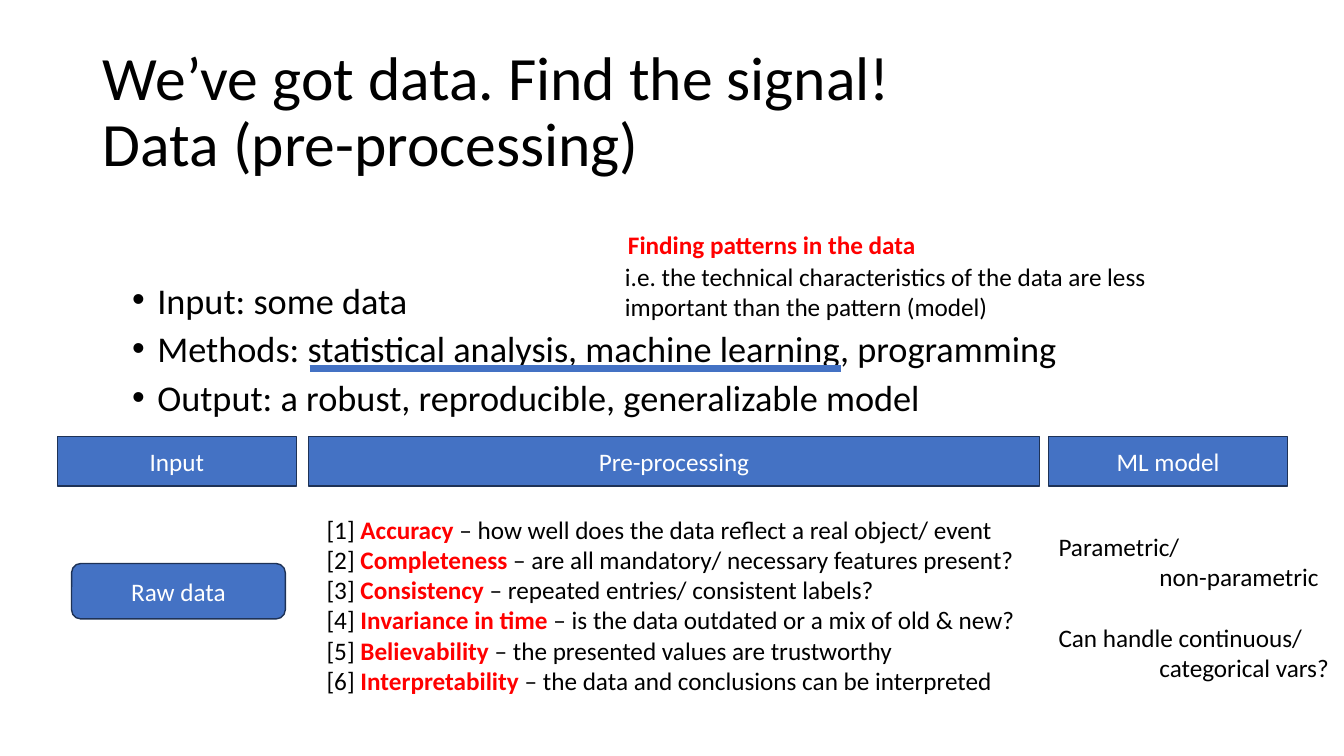
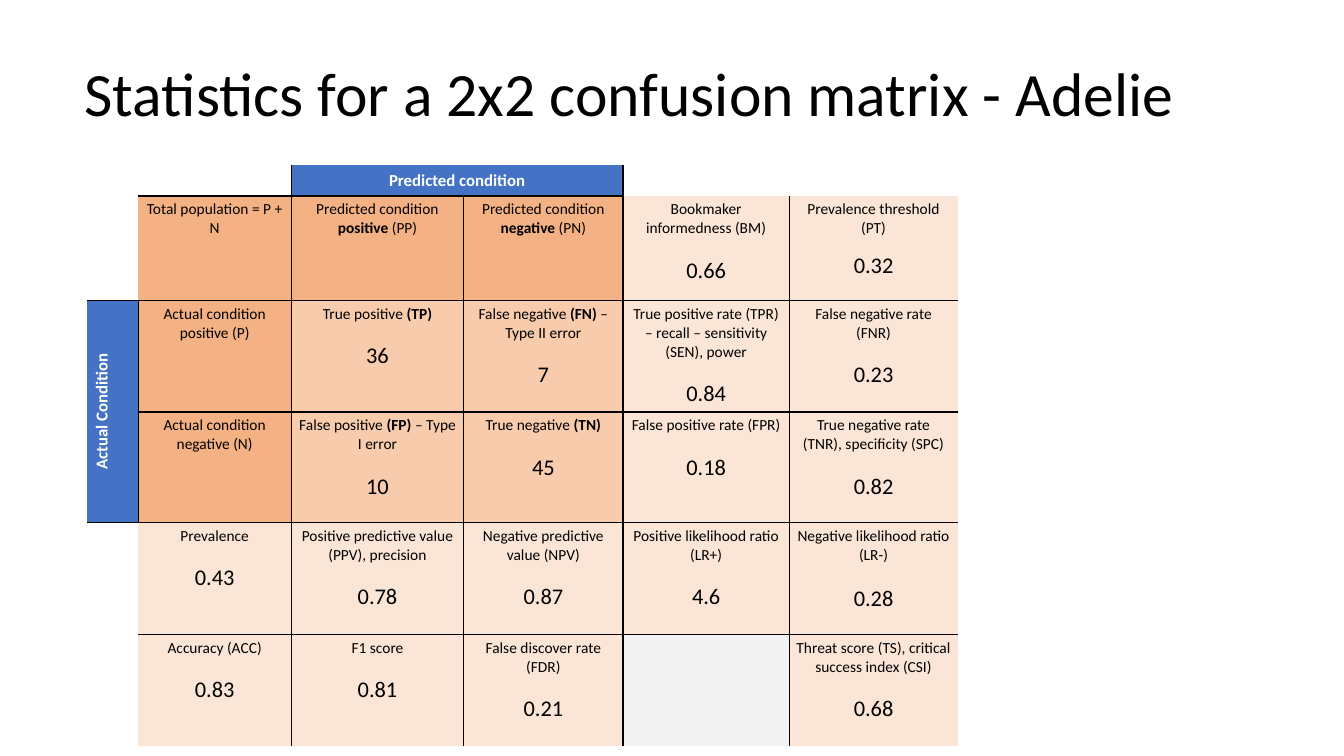
"""Two slides on data pre-processing and confusion matrix statistics."""
import pptx
import pptx.dml.color
import pptx.enum.shapes
import pptx.enum.text
import pptx.oxml.ns
import pptx.util
from lxml import etree

Inches, Pt = pptx.util.Inches, pptx.util.Pt
ALIGN = pptx.enum.text.PP_ALIGN
ANCHOR = pptx.enum.text.MSO_ANCHOR
SHAPES = pptx.enum.shapes.MSO_SHAPE
qn = pptx.oxml.ns.qn

FONT = "Calibri"
COLORS = {"text": "000000", "white": "FFFFFF", "accent": "FF0000",
          "blue": "4472C4", "outline": "1E3256"}
FILLS = {"B": "4472C4", "H": "F4B183", "C": "F8CBAD", "P": "FBE5D6", "G": "F2F2F2"}

SIGNAL_TITLE = "We’ve got data. Find the signal!\vData (pre-processing)"
STEPS = ["Input: some data",
         "Methods: statistical analysis, machine learning, programming",
         "Output: a robust, reproducible, generalizable model"]
PATTERN = "*Finding patterns in the data*"
PATTERN_NOTE = ("i.e. the technical characteristics of the data are less "
                "important than the pattern (model)")
STAGES = [("Input", 0.57, 2.37), ("Pre-processing", 3.06, 7.25), ("ML model", 10.4, 2.37)]
QUALITIES = [
    ("Accuracy", "how well does the data reflect a real object/ event"),
    ("Completeness", "are all mandatory/ necessary features present?"),
    ("Consistency", "repeated entries/ consistent labels?"),
    ("Invariance in time", "is the data outdated or a mix of old & new?"),
    ("Believability", "the presented values are trustworthy"),
    ("Interpretability", "the data and conclusions can be interpreted"),
]
MODEL_TRAITS = [("Parametric/", "non-parametric"),
                ("Can handle continuous/", "categorical vars?")]

MATRIX_TITLE = "Statistics for a 2x2 confusion matrix - Adelie"
COLUMNS = [0.51, 1.52, 1.71, 1.58, 1.65, 1.67]
ROWS = [0.3, 1.04, 1.1, 1.1, 1.11, 1.1]
KINDS = ["  BB  ",
         " HHHPP",
         "BHCCPP",
         "BHCCPP",
         " PPPPP",
         " PPPGP"]
MERGES = [((0, 0), (1, 0)), ((0, 2), (0, 3)), ((2, 0), (3, 0))]
MATRIX = {
    (0, 2): ("*Predicted condition*", ""),
    (1, 1): ("Total population = P + N", ""),
    (1, 2): ("Predicted condition *positive* (PP)", ""),
    (1, 3): ("Predicted condition *negative* (PN)", ""),
    (1, 4): ("Bookmaker informedness (BM)", "0.66"),
    (1, 5): ("Prevalence threshold (PT)", "0.32"),
    (2, 0): ("*Actual Condition*", ""),
    (2, 1): ("Actual condition positive (P)", ""),
    (2, 2): ("True positive *(TP)*", "36"),
    (2, 3): ("False negative *(FN)* – Type II error", "7"),
    (2, 4): ("True positive rate (TPR) – recall – sensitivity (SEN), power", "0.84"),
    (2, 5): ("False negative rate (FNR)", "0.23"),
    (3, 1): ("Actual condition negative (N)", ""),
    (3, 2): ("False positive *(FP)* – Type I error", "10"),
    (3, 3): ("True negative *(TN)*", "45"),
    (3, 4): ("False positive rate (FPR)", "0.18"),
    (3, 5): ("True negative rate (TNR), specificity (SPC)", "0.82"),
    (4, 1): ("Prevalence", "0.43"),
    (4, 2): ("Positive predictive value (PPV), precision", "0.78"),
    (4, 3): ("Negative predictive value (NPV)", "0.87"),
    (4, 4): ("Positive likelihood ratio (LR+)", "4.6"),
    (4, 5): ("Negative likelihood ratio (LR-)", "0.28"),
    (5, 1): ("Accuracy (ACC)", "0.83"),
    (5, 2): ("F1 score", "0.81"),
    (5, 3): ("False discover rate (FDR)", "0.21"),
    (5, 5): ("Threat score (TS), critical success index (CSI)", "0.68"),
}
VALUE_GAP = 13.4
SPECIAL_GAPS = {(1, 5): 9.8, (4, 5): 14.6}


def rgb(name):
    return pptx.dml.color.RGBColor.from_string(COLORS.get(name, name))


def place(shape, left, top, width, height):
    shape.left, shape.top = Inches(left), Inches(top)
    shape.width, shape.height = Inches(width), Inches(height)


def write(paragraph, text, size, color="text", strong=None):
    """Write text in which *stars* mark bold words."""
    paragraph.font.name, paragraph.font.size = FONT, Pt(size)
    paragraph.font.color.rgb = rgb(color)
    for index, part in enumerate(text.split("*")):
        if part:
            run = paragraph.add_run()
            run.text = part
            if index % 2:
                run.font.bold = True
                if strong:
                    run.font.color.rgb = rgb(strong)


def paragraphs(frame, count):
    return [frame.paragraphs[0]] + [frame.add_paragraph() for _ in range(count - 1)]


def set_title(slide, text, left, top):
    title = slide.shapes.title
    place(title, left, top, 11.5, 1.45)
    frame = title.text_frame
    frame.text = text
    frame.vertical_anchor = ANCHOR.MIDDLE
    frame.auto_size = pptx.enum.text.MSO_AUTO_SIZE.NONE
    heading = frame.paragraphs[0]
    heading.alignment, heading.line_spacing = ALIGN.LEFT, 0.9
    heading.font.name, heading.font.size = FONT, Pt(44)
    heading.font.color.rgb = rgb("text")


def add_text(slide, box, lines):
    area = slide.shapes.add_textbox(*map(Inches, box))
    frame = area.text_frame
    frame.word_wrap = True
    frame.margin_right = 0
    result = paragraphs(frame, len(lines))
    for paragraph, line in zip(result, lines):
        write(paragraph, line, 18, strong="accent")
    return result


def add_block(slide, preset, text, box):
    block = slide.shapes.add_shape(preset, *map(Inches, box))
    block.shadow.inherit = False
    block.fill.solid()
    block.fill.fore_color.rgb = rgb("blue")
    block.line.color.rgb = rgb("outline")
    block.line.width = Pt(1)
    block.text_frame.vertical_anchor = ANCHOR.MIDDLE
    label = block.text_frame.paragraphs[0]
    label.alignment = ALIGN.CENTER
    write(label, text, 18, "white")


def add_steps(slide):
    body = slide.placeholders[1]
    place(body, 1.21, 2.79, 9.78, 1.53)
    body.text_frame.auto_size = pptx.enum.text.MSO_AUTO_SIZE.NONE
    for index, paragraph in enumerate(paragraphs(body.text_frame, len(STEPS))):
        properties = paragraph._p.get_or_add_pPr()
        properties.set("marL", str(Inches(0.25)))
        properties.set("indent", str(Inches(-0.25)))
        etree.SubElement(properties, qn("a:buFont"), typeface="Arial")
        etree.SubElement(properties, qn("a:buChar"), char="•")
        paragraph.line_spacing = 0.8
        paragraph.space_before = Pt(10 if index else 0)
        write(paragraph, STEPS[index], 25.9)


def build_signal(deck):
    slide = deck.slides.add_slide(deck.slide_layouts[1])
    set_title(slide, SIGNAL_TITLE, 0.92, 0.4)
    add_steps(slide)
    add_text(slide, (6.13, 2.23, 3.08, 0.4), [PATTERN])
    add_text(slide, (6.1, 2.54, 5.72, 0.71), [PATTERN_NOTE])

    underline = slide.shapes.add_connector(
        pptx.enum.shapes.MSO_CONNECTOR.STRAIGHT, *map(Inches, (3.07, 3.66, 8.34, 3.66)))
    underline.line.color.rgb = rgb("blue")
    underline.line.width = Pt(5)
    etree.SubElement(underline._element.spPr, qn("a:effectLst"))

    for stage, left, width in STAGES:
        add_block(slide, SHAPES.RECTANGLE, stage, (left, 4.33, width, 0.49))
    add_block(slide, SHAPES.ROUNDED_RECTANGLE, "Raw data", (0.71, 5.59, 2.12, 0.55))

    add_text(slide, (3.14, 5.05, 7.09, 1.92),
             [f"[{number}] *{name}* – {meaning}"
              for number, (name, meaning) in enumerate(QUALITIES, 1)])
    traits = add_text(slide, (10.4, 5.22, 2.91, 1.62),
                      [line for pair in MODEL_TRAITS for line in pair])
    for paragraph in traits[1::2]:
        paragraph._p.get_or_add_pPr().set("marL", str(Inches(1)))
    for paragraph in traits[2::2]:
        paragraph.space_before = Pt(22)


def kind_at(row, column):
    inside = 0 <= row < len(ROWS) and 0 <= column < len(COLUMNS)
    return KINDS[row][column] if inside else None


def has_line(kind, neighbour, stacked):
    pair = {kind, neighbour}
    if None in pair or pair == {"B"}:
        return False
    return " " not in pair or "B" in pair or (stacked and "H" in pair)


def draw_borders(cell, row, column):
    properties = cell._tc.get_or_add_tcPr()
    sides = [("L", 0, -1), ("R", 0, 1), ("T", -1, 0), ("B", 1, 0)]
    for index, (side, down, across) in enumerate(sides):
        line = etree.Element(qn(f"a:ln{side}"), w=str(Pt(1)))
        if has_line(kind_at(row, column), kind_at(row + down, column + across), down != 0):
            fill = etree.SubElement(line, qn("a:solidFill"))
            etree.SubElement(fill, qn("a:srgbClr"), val=COLORS["text"])
        else:
            etree.SubElement(line, qn("a:noFill"))
        properties.insert(index, line)


def fill_cell(cell, row, column):
    kind = kind_at(row, column)
    if kind == " ":
        cell.fill.background()
    else:
        cell.fill.solid()
        cell.fill.fore_color.rgb = rgb(FILLS[kind])
    draw_borders(cell, row, column)
    header = kind == "B"
    cell.margin_left = cell.margin_right = Inches(0.09 if header else 0.07)
    cell.margin_top = cell.margin_bottom = Inches(0.05 if header else 0.04)
    if (row, column) not in MATRIX:
        cell.text_frame.paragraphs[0].font.size = Pt(11)
        return
    label, value = MATRIX[row, column]
    lines = paragraphs(cell.text_frame, 2 if value else 1)
    for paragraph in lines:
        paragraph.alignment = ALIGN.CENTER
    write(lines[0], label, 12 if header else 11, "white" if header else "text")
    if value:
        lines[1].space_before = Pt(SPECIAL_GAPS.get((row, column), VALUE_GAP))
        write(lines[1], value, 16)


def build_matrix(deck):
    slide = deck.slides.add_slide(deck.slide_layouts[5])
    set_title(slide, MATRIX_TITLE, 0.74, 0.23)
    box = (0.86, 1.64, sum(COLUMNS), sum(ROWS))
    table = slide.shapes.add_table(len(ROWS), len(COLUMNS), *map(Inches, box)).table
    table.first_row = table.horz_banding = False
    for column, width in zip(table.columns, COLUMNS):
        column.width = Inches(width)
    for row, height in zip(table.rows, ROWS):
        row.height = Inches(height)
    for first, last in MERGES:
        table.cell(*first).merge(table.cell(*last))
    for row in range(len(ROWS)):
        for column in range(len(COLUMNS)):
            fill_cell(table.cell(row, column), row, column)
    table.cell(2, 0)._tc.get_or_add_tcPr().set("vert", "vert270")


def main():
    deck = pptx.Presentation()
    deck.slide_width, deck.slide_height = Inches(13.33), Inches(7.5)
    build_signal(deck)
    build_matrix(deck)
    deck.save("out.pptx")


if __name__ == "__main__":
    main()
